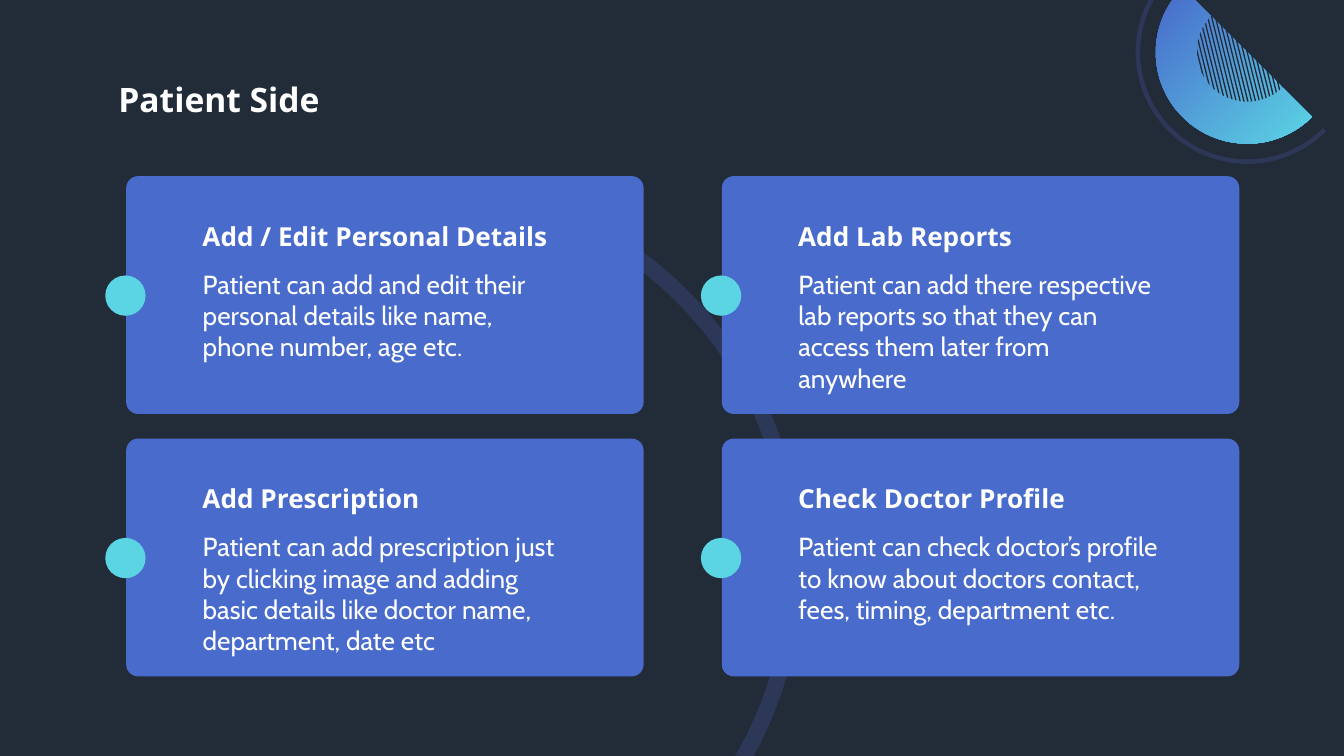
import math
from pptx import Presentation
from pptx import util as u
from pptx.dml.color import RGBColor
from pptx.enum import shapes, text
from pptx.oxml.ns import qn

COLORS = {"bg": "222B38", "card": "496CCC", "dot": "5BD5E4", "ring": "2D3859", "text": "FFFFFF"}
FORMATS = {
    "title": {"name": "Open Sans", "size": u.Pt(18), "bold": True},
    "heading": {"name": "Open Sans", "size": u.Pt(14), "bold": True},
    "body": {"name": "Cabin", "size": u.Pt(14), "bold": False},
}
FRAME = {"word_wrap": True, "auto_size": text.MSO_AUTO_SIZE.NONE}
INSETS = dict.fromkeys(("margin_left", "margin_top", "margin_right", "margin_bottom"), u.Pt(7.2))
PARAGRAPH = {"alignment": text.PP_ALIGN.LEFT, "space_before": u.Pt(0), "line_spacing": 1.0}
CARDS = [
    ("Add / Edit Personal Details",
     "Patient can add and edit their personal details like name, phone number, age etc."),
    ("Add Lab Reports",
     "Patient can add there respective lab reports so that they can access them later from anywhere"),
    ("Add Prescription",
     "Patient can add prescription just by clicking image and adding basic details like doctor name, "
     "department, date etc"),
    ("Check Doctor Profile",
     "Patient can check doctor’s profile to know about doctors contact, fees, timing, department etc."),
]


def rgb(name):
    return RGBColor.from_string(COLORS[name])


def assign(obj, values):
    for key, value in values.items():
        setattr(obj, key, value)


def arc(cx, cy, radius, start, end, steps=90):
    angles = [math.radians(start + (end - start) * i / steps) for i in range(steps + 1)]
    return [(cx + radius * math.cos(a), cy + radius * math.sin(a)) for a in angles]


class Deck:
    def __init__(self, s):
        self.s = s
        s.background.fill.solid()
        s.background.fill.fore_color.rgb = rgb("bg")

    def paint(self, sp, color):
        sp.shadow.inherit = False
        sp.line.fill.background()
        sp.fill.solid()
        sp.fill.fore_color.rgb = rgb(color)
        return sp

    def outline(self, points, color, parent=None):
        points = [(u.Pt(x), u.Pt(y)) for x, y in points]
        builder = (parent or self.s).shapes.build_freeform(*points[0])
        builder.add_line_segments(points[1:], close=True)
        return self.paint(builder.convert_to_shape(), color)

    def ring(self, cx, cy, outer, inner, start, outer_end, inner_end):
        self.outline(arc(cx, cy, outer, start, outer_end)
                     + arc(cx, cy, inner, inner_end, start), "ring")

    def half_disc(self, cx, cy, radius, end):
        sp = self.outline(arc(cx, cy, radius, 45, end) + [(cx - cy, 0)], "card")
        sp.fill.gradient()
        sp.fill.gradient_angle = 315
        for stop, position, color in zip(sp.fill.gradient_stops, (0, 1), ("card", "dot")):
            stop.position = position
            stop.color.rgb = rgb(color)

    def hatching(self, cx, cy, radius, count, gap, width):
        group = self.s.shapes.add_group_shape()
        dx, dy = 0.24, 0.97
        for i in range(count):
            near = 0.5 - radius + i * gap
            corners = []
            for offset, sign in ((near, -1), (near, 1), (near + width, 1), (near + width, -1)):
                half = sign * math.sqrt(radius ** 2 - offset ** 2)
                corners.append((cx + offset * dy + half * dx, cy - offset * dx + half * dy))
            self.outline(corners, "bg", group)

    def shape(self, kind, box, color):
        return self.paint(self.s.shapes.add_shape(kind, *map(u.Pt, box)), color)

    def label(self, content, box, style, sp=None, anchor=text.MSO_ANCHOR.TOP):
        sp = sp or self.s.shapes.add_textbox(*map(u.Pt, box))
        assign(sp, dict(zip(("left", "top", "width", "height"), map(u.Pt, box))))
        sp._element.getparent().append(sp._element)
        tf = sp.text_frame
        assign(tf, {**FRAME, **INSETS, "vertical_anchor": anchor})
        p = tf.paragraphs[0]
        assign(p, PARAGRAPH)
        pPr = p._p.get_or_add_pPr()
        pPr.set("marL", "0")
        pPr.set("indent", "0")
        pPr.append(pPr.makeelement(qn("a:buNone"), {}))
        r = p.add_run()
        r.text = content
        assign(r.font, FORMATS[style])
        r.font.color.rgb = rgb("text")

    def card(self, x, y, heading, body, placeholder):
        sp = self.shape(shapes.MSO_SHAPE.ROUNDED_RECTANGLE, (x, y, 277.2, 127.4), "card")
        sp.adjustments[0] = 0.05
        self.label(heading, (x + 33.8, y + 16, 209.5, 31.7), "heading", anchor=text.MSO_ANCHOR.BOTTOM)
        self.label(body, (x + 33.8, y + 42, 209.5, 69.1), "body", placeholder)
        self.shape(shapes.MSO_SHAPE.OVAL, (x - 11.2, y + 53.2, 21.6, 21.6), "dot")


def main():
    prs = Presentation()
    prs.slide_width, prs.slide_height = u.Pt(720), u.Pt(405)
    s = prs.slides.add_slide(prs.slide_layouts.get_by_name("Comparison"))
    title, *bodies = list(s.placeholders)
    deck = Deck(s)

    deck.half_disc(668.2, 28, 49, 214.8)
    deck.ring(668.2, 28, 59.8, 57.4, 45, 207.9, 209.2)
    deck.hatching(668.2, 27.5, 27, 27, 2, 0.7)
    deck.ring(220.3, 303.8, 209.5, 200.9, 230, 388.9, 390.2)

    deck.label("Patient Side", (56.2, 35.3, 607.7, 45.4), "title", title)
    for i, ((heading, body), placeholder) in enumerate(zip(CARDS, bodies)):
        row, col = divmod(i, 2)
        deck.card(67.6 + col * 319.1, 94.4 + row * 140.6, heading, body, placeholder)

    prs.save("out.pptx")


if __name__ == "__main__":
    main()
